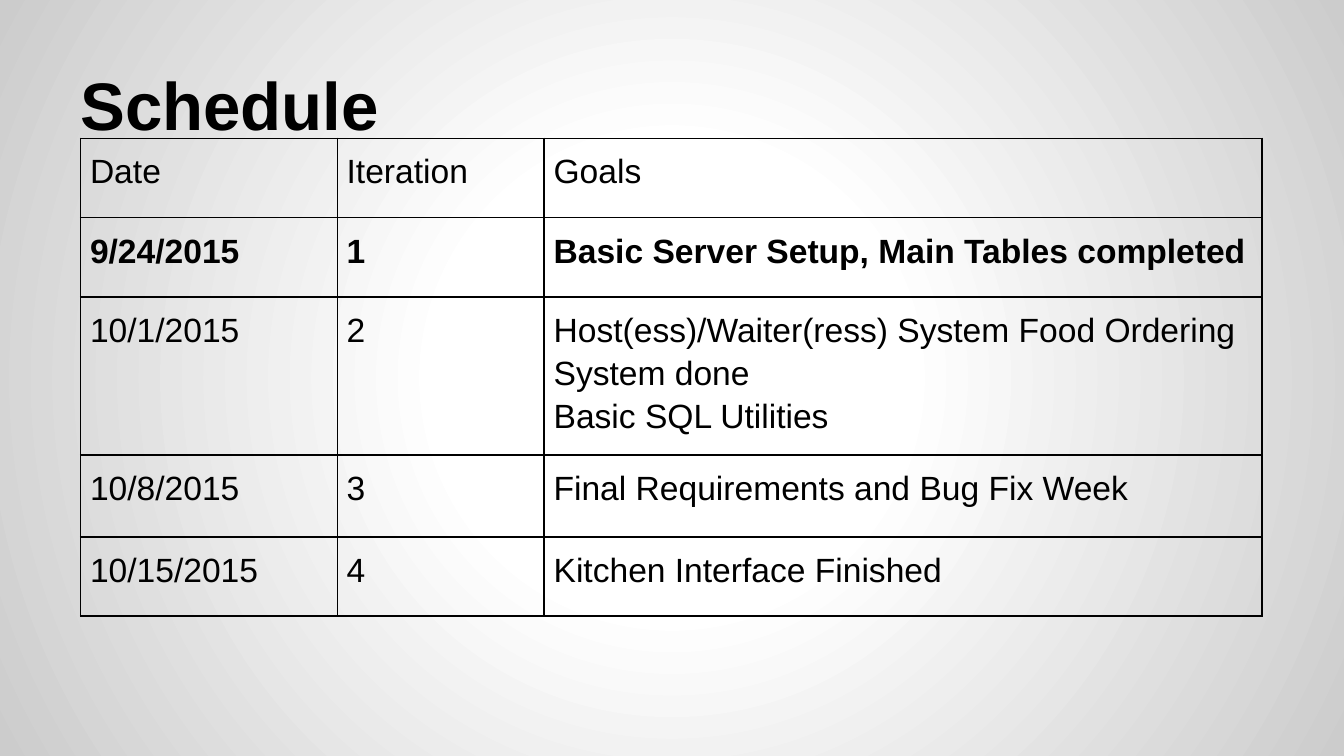
from dataclasses import dataclass

from lxml import etree
from pptx import Presentation, util as u
from pptx.dml.color import RGBColor
from pptx.enum import text
from pptx.oxml import parse_xml
from pptx.oxml.ns import nsdecls, qn

WIDTH = 10
HEIGHT = WIDTH * 9 / 16
COLUMN_WIDTHS = (1.91, 1.54, 5.34)
ROW_HEIGHTS = (0.59, 0.59, 0.59, 0.61, 0.59)
TABLE_SIDE = 3.28
BLACK = "000000"
BACKGROUND_STOPS = ((0, "FFFFFF"), (30, "FFFFFF"), (100, "CCCCCC"))


@dataclass(frozen=True)
class Entry:
    date: str
    iteration: str
    goals: str
    bold: bool = False


ENTRIES = (
    Entry("Date", "Iteration", "Goals"),
    Entry("9/24/2015", "1", "Basic Server Setup, Main Tables completed", True),
    Entry("10/1/2015", "2", "Host(ess)/Waiter(ress) System Food Ordering System done\nBasic SQL Utilities"),
    Entry("10/8/2015", "3", "Final Requirements and Bug Fix Week"),
    Entry("10/15/2015", "4", "Kitchen Interface Finished "),
)


def color(value: str) -> RGBColor:
    return RGBColor.from_string(value)


def set_values(target, values: dict) -> None:
    for name, value in values.items():
        setattr(target, name, value)


def margins(inches: float) -> dict:
    return {f"margin_{side}": u.Inches(inches) for side in ("left", "top", "right", "bottom")}


def format_text(frame, size: int, bold: bool, spacing: float) -> None:
    for paragraph in frame.paragraphs:
        paragraph.line_spacing = spacing
        for run in paragraph.runs:
            set_values(run.font, {"name": "Arial", "size": u.Pt(size), "bold": bold})
            run.font.color.rgb = color(BLACK)


def paint_background(slide) -> None:
    slide.background.fill.gradient()
    gradient = slide.element.find(".//" + qn("a:gradFill"))
    stops = "".join(
        f'<a:gs pos="{share * 1000}"><a:srgbClr val="{color(value)}"/></a:gs>'
        for share, value in BACKGROUND_STOPS
    )
    radial = parse_xml(
        f'<a:gradFill {nsdecls("a")} rotWithShape="1"><a:gsLst>{stops}</a:gsLst>'
        '<a:path path="circle"><a:fillToRect l="50000" t="50000" r="50000" b="50000"/></a:path>'
        "</a:gradFill>"
    )
    gradient.getparent().replace(gradient, radial)


def add_borders(cell) -> None:
    properties = cell._tc.get_or_add_tcPr()
    for position, side in enumerate(("lnL", "lnR", "lnT", "lnB")):
        line = etree.Element(qn(f"a:{side}"), w=str(u.Pt(1)))
        fill = etree.SubElement(line, qn("a:solidFill"))
        etree.SubElement(fill, qn("a:srgbClr"), val=BLACK)
        properties.insert(position, line)


def add_title(slide) -> None:
    box = slide.shapes.add_textbox(
        u.Inches(0.05 * WIDTH), u.Inches(0.23), u.Inches(0.9 * WIDTH), u.Inches(0.94)
    )
    frame = box.text_frame
    set_values(frame, {"word_wrap": True, "vertical_anchor": text.MSO_ANCHOR.BOTTOM, **margins(0.1)})
    frame.text = "Schedule"
    format_text(frame, 36, True, 1.0)


def add_schedule(slide) -> None:
    shape = slide.shapes.add_table(
        len(ENTRIES), len(COLUMN_WIDTHS), u.Inches(0.06 * WIDTH), u.Inches(1.03),
        u.Inches(TABLE_SIDE), u.Inches(TABLE_SIDE),
    )
    table = shape.table
    set_values(table, {"first_row": False, "horz_banding": False})
    for column, width in zip(table.columns, COLUMN_WIDTHS):
        column.width = u.Inches(width)
    for row, height, entry in zip(table.rows, ROW_HEIGHTS, ENTRIES):
        row.height = u.Inches(height)
        for cell, wording in zip(row.cells, (entry.date, entry.iteration, entry.goals)):
            set_values(cell, {"text": wording, **margins(0.07)})
            cell.fill.background()
            add_borders(cell)
            format_text(cell.text_frame, 18, entry.bold, 1.15)
    set_values(shape, {"width": u.Inches(TABLE_SIDE), "height": u.Inches(TABLE_SIDE)})


presentation = Presentation()
set_values(presentation, {"slide_width": u.Inches(WIDTH), "slide_height": u.Inches(HEIGHT)})
slide = presentation.slides.add_slide(presentation.slide_layouts[6])
paint_background(slide)
add_title(slide)
add_schedule(slide)
presentation.save("out.pptx")
